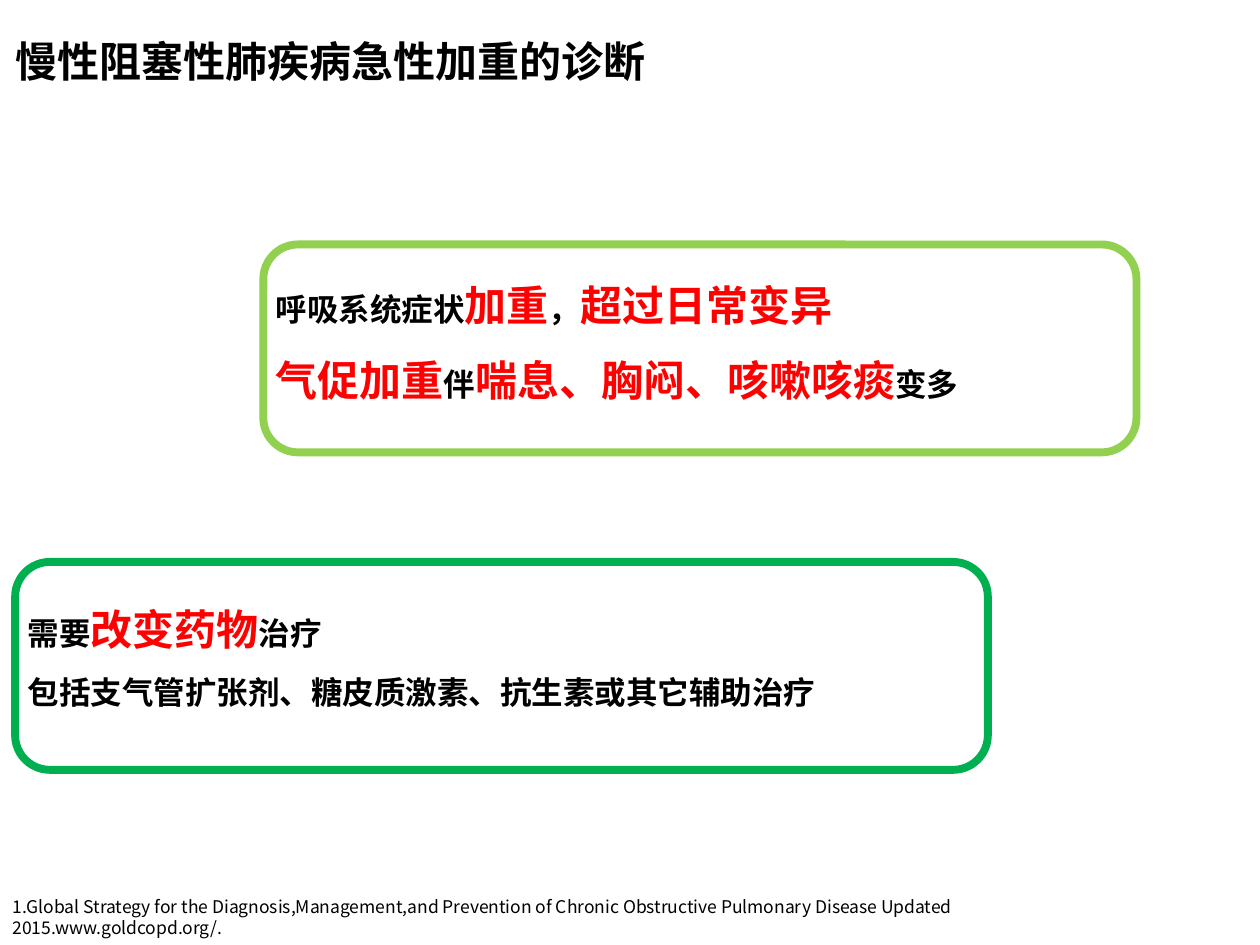
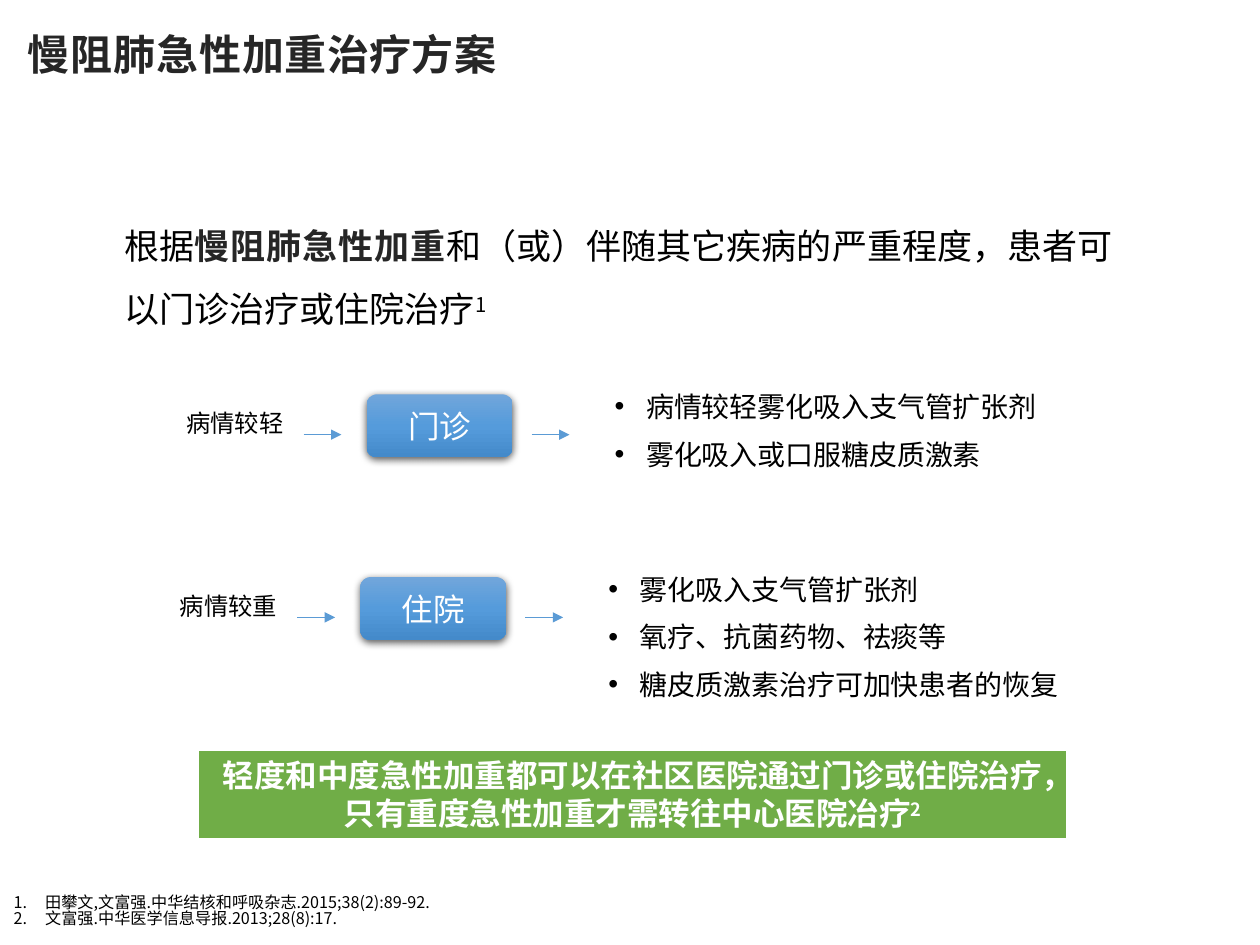
import pptx
import pptx.dml.color
import pptx.enum.shapes
import pptx.enum.text
import pptx.oxml
import pptx.oxml.ns
import pptx.util
from lxml import etree

Inches = pptx.util.Inches
Pt = pptx.util.Pt
ALIGN = pptx.enum.text.PP_ALIGN
ANCHOR = pptx.enum.text.MSO_ANCHOR
SHAPE = pptx.enum.shapes.MSO_SHAPE
qn = pptx.oxml.ns.qn

FONT = "Noto Sans CJK SC"
COLOURS = {
    "black": "000000", "charcoal": "262626", "white": "FFFFFF", "red": "FF0000",
    "lime": "92D050", "green": "00B050", "banner": "70AD47", "arrow": "5B9BD5",
}
BUTTON_STOPS = {0: "71A6DB", 50: "559BDB", 100: "448ACA"}

# Run styles: font values, plus letter spacing and baseline shift as run attributes
STYLES = {
    "title": {"size": 24, "colour": "black", "bold": True},
    "soft title": {"size": 24, "colour": "charcoal", "bold": True},
    "spaced title": {"size": 24, "colour": "charcoal", "bold": True, "spc": 50},
    "point": {"size": 18, "colour": "black", "bold": True},
    "key": {"size": 24, "colour": "red", "bold": True},
    "intro": {"size": 20, "colour": "black"},
    "intro term": {"size": 20, "colour": "charcoal", "bold": True, "spc": 50},
    "intro note": {"size": 20, "colour": "black", "baseline": 30000},
    "button": {"size": 18, "colour": "white"},
    "severity": {"size": 13.9, "colour": "black"},
    "measure": {"size": 16, "colour": "black"},
    "banner": {"size": 18, "colour": "white", "bold": True},
    "banner note": {"size": 18, "colour": "white", "bold": True, "baseline": 30000},
    "source": {"size": 10, "colour": "black"},
    "reference": {"size": 9.2, "colour": "black"},
}


def rgb(name):
    return pptx.dml.color.RGBColor.from_string(COLOURS[name])


def add_element(parent, tag, **attributes):
    element = etree.SubElement(parent, qn(tag))
    for name, value in attributes.items():
        element.set(name, str(value))
    return element


# Text

def add_run(paragraph, text, style_name):
    style = STYLES[style_name]
    run = paragraph.add_run()
    run.text = text
    values = {"size": Pt(style["size"]), "bold": style.get("bold", False), "name": FONT}
    for name, value in values.items():
        setattr(run.font, name, value)
    run.font.color.rgb = rgb(style["colour"])
    properties = run.font._element
    add_element(properties, "a:ea", typeface=FONT)
    for name in ("spc", "baseline"):
        if name in style:
            properties.set(name, str(style[name]))


def add_marker(paragraph, marker):
    properties = paragraph._p.get_or_add_pPr()
    for name, value in {"marL": Inches(0.25), "indent": -Inches(0.25)}.items():
        properties.set(name, str(value))
    if marker == "number":
        add_element(properties, "a:buAutoNum", type="arabicPeriod")
    else:
        add_element(properties, "a:buFont", typeface="Arial")
        add_element(properties, "a:buChar", char=marker)


def write(shape, paragraphs, line_spacing=None, gap=0, align=ALIGN.LEFT,
          anchor=ANCHOR.TOP, marker=None):
    """Each paragraph is a list of (text, style) runs."""
    frame = shape.text_frame
    frame_format = {"word_wrap": True, "vertical_anchor": anchor,
                    "auto_size": pptx.enum.text.MSO_AUTO_SIZE.NONE}
    for name, value in frame_format.items():
        setattr(frame, name, value)
    for index, runs in enumerate(paragraphs):
        paragraph = frame.add_paragraph() if index else frame.paragraphs[0]
        paragraph_format = {"alignment": align, "line_spacing": line_spacing,
                            "space_before": Pt(gap if index else 0)}
        for name, value in paragraph_format.items():
            setattr(paragraph, name, value)
        if marker:
            add_marker(paragraph, marker)
        for text, style_name in runs:
            add_run(paragraph, text, style_name)


def add_text(slide, box, paragraphs, **layout):
    text_box = slide.shapes.add_textbox(*map(Inches, box))
    write(text_box, paragraphs, **layout)


def add_titled_slide(presentation, left, top, runs):
    slide = presentation.slides.add_slide(presentation.slide_layouts[5])
    title = slide.shapes.title
    place = {"left": left, "top": top, "width": 8.62, "height": 1.45}
    for name, value in place.items():
        setattr(title, name, Inches(value))
    write(title, [runs], line_spacing=0.9, anchor=ANCHOR.MIDDLE)
    return slide


# Shapes

def add_plain_shape(slide, kind, box):
    shape = slide.shapes.add_shape(kind, *map(Inches, box))
    shape.shadow.inherit = False
    return shape


def add_frame(slide, box, colour):
    frame = add_plain_shape(slide, SHAPE.ROUNDED_RECTANGLE, box)
    frame.fill.background()
    frame.line.color.rgb = rgb(colour)
    frame.line.width = Pt(4.5)


def add_button(slide, box, text):
    button = add_plain_shape(slide, SHAPE.ROUNDED_RECTANGLE, box)
    button.line.fill.background()
    button.fill.gradient()
    button.fill.gradient_angle = 270
    properties = button._element.spPr
    stops = properties.find(".//" + qn("a:gsLst"))
    for stop in list(stops):
        stops.remove(stop)
    for position, colour in BUTTON_STOPS.items():
        stop = add_element(stops, "a:gs", pos=position * 1000)
        add_element(stop, "a:srgbClr", val=colour)
    shadow = add_element(properties.find(qn("a:effectLst")), "a:outerShdw",
                         blurRad=Pt(4.5), dist=Pt(1.5), dir=5400000,
                         algn="ctr", rotWithShape=0)
    shade = add_element(shadow, "a:srgbClr", val=COLOURS["black"])
    add_element(shade, "a:alpha", val=63000)
    write(button, [[(text, "button")]], align=ALIGN.CENTER, anchor=ANCHOR.MIDDLE)


def add_arrow(slide, left, top, length=0.3):
    arrow = slide.shapes.add_connector(
        pptx.enum.shapes.MSO_CONNECTOR.STRAIGHT,
        Inches(left), Inches(top), Inches(left + length), Inches(top))
    arrow.line.color.rgb = rgb("arrow")
    arrow.line.width = Pt(0.5)
    add_element(arrow.line._get_or_add_ln(), "a:tailEnd", type="triangle")
    add_element(arrow._element.spPr, "a:effectLst")


def add_care_path(slide, left, top, severity, setting, measures):
    """Severity, arrow, care setting, arrow and list of measures in one row."""
    add_button(slide, (left + 1.53, top, 1.16, 0.5), setting)
    add_text(slide, (left, top + 0.13, 1.03, 0.38), [[(severity, "severity")]],
             line_spacing=Pt(11.7))
    for offset in (1.03, 2.84):
        add_arrow(slide, left + offset, top + 0.32)
    add_text(slide, (left + 3.4, top - 0.06, 4.25, 0.43 + 0.38 * (len(measures) - 1)),
             [[(measure, "measure")] for measure in measures],
             line_spacing=Pt(17.2), gap=10, marker="•")


# Slides

def build_diagnosis(presentation):
    slide = add_titled_slide(presentation, 0.02, -0.22,
                             [("慢性阻塞性肺疾病急性加重的诊断", "title")])
    add_text(slide, (0, 7.06, 8.64, 0.44), [[(
        "1.Global Strategy for the Diagnosis,Management,and Prevention of Chronic "
        "Obstructive Pulmonary Disease Updated 2015.www.goldcopd.org/.", "source")]],
        line_spacing=Pt(12.2))

    # Symptoms
    add_text(slide, (2.09, 1.97, 7.09, 1.31), [
        [("呼吸系统症状", "point"), ("加重", "key"), ("，", "point"),
         ("超过日常变异", "key")],
        [("气促加重", "key"), ("伴", "point"), ("喘息、胸闷、咳嗽咳痰", "key"),
         ("变多", "point")],
    ], line_spacing=Pt(43))
    add_frame(slide, (2.09, 1.94, 6.93, 1.65), "lime")

    # Change of treatment
    treatment = [
        [("需要", "point"), ("改变药物", "key"), ("治疗", "point")],
        [("包括支气管扩张剂、糖皮质激素、抗生素或其它辅助治疗", "point")],
    ]
    add_text(slide, (0.12, 4.54, 7.88, 0.7), treatment[:1], line_spacing=Pt(43))
    add_text(slide, (0.12, 5.14, 7.88, 0.56), treatment[1:], line_spacing=Pt(32.4))
    add_frame(slide, (0.12, 4.46, 7.72, 1.65), "green")


def build_treatment(presentation):
    slide = add_titled_slide(presentation, 0.12, -0.27, [
        ("慢阻肺急性加重", "spaced title"), ("治疗方案", "soft title")])
    add_text(slide, (0.89, 1.57, 8.06, 1.1), [[
        ("根据", "intro"), ("慢阻肺急性加重", "intro term"),
        ("和（或）伴随其它疾病的严重程度，患者可以门诊治疗或住院治疗", "intro"),
        ("1", "intro note")]], line_spacing=Pt(36))

    # Care paths by severity
    add_care_path(slide, 1.38, 3.13, "病情较轻", "门诊",
                  ["病情较轻雾化吸入支气管扩张剂", "雾化吸入或口服糖皮质激素"])
    add_care_path(slide, 1.33, 4.58, "病情较重", "住院",
                  ["雾化吸入支气管扩张剂", "氧疗、抗菌药物、祛痰等",
                   "糖皮质激素治疗可加快患者的恢复"])

    # References
    add_text(slide, (0.01, 7.06, 8.62, 0.37), [
        [("田攀文,文富强.中华结核和呼吸杂志.2015;38(2):89-92.", "reference")],
        [("文富强.中华医学信息导报.2013;28(8):17.", "reference")],
    ], line_spacing=Pt(9), marker="number")

    # Conclusion
    banner = add_plain_shape(slide, SHAPE.RECTANGLE, (1.57, 5.95, 6.9, 0.71))
    banner.fill.solid()
    banner.fill.fore_color.rgb = rgb("banner")
    banner.line.color.rgb = rgb("white")
    banner.line.width = Pt(1.5)
    write(banner, [[
        ("轻度和中度急性加重都可以在社区医院通过门诊或住院治疗，"
         "只有重度急性加重才需转往中心医院冶疗", "banner"),
        ("2", "banner note")]], line_spacing=Pt(21.7), align=ALIGN.CENTER)


def main():
    presentation = pptx.Presentation()
    presentation.slide_width = Inches(10)
    presentation.slide_height = Inches(7.5)
    build_diagnosis(presentation)
    build_treatment(presentation)
    presentation.save("out.pptx")


if __name__ == "__main__":
    main()
